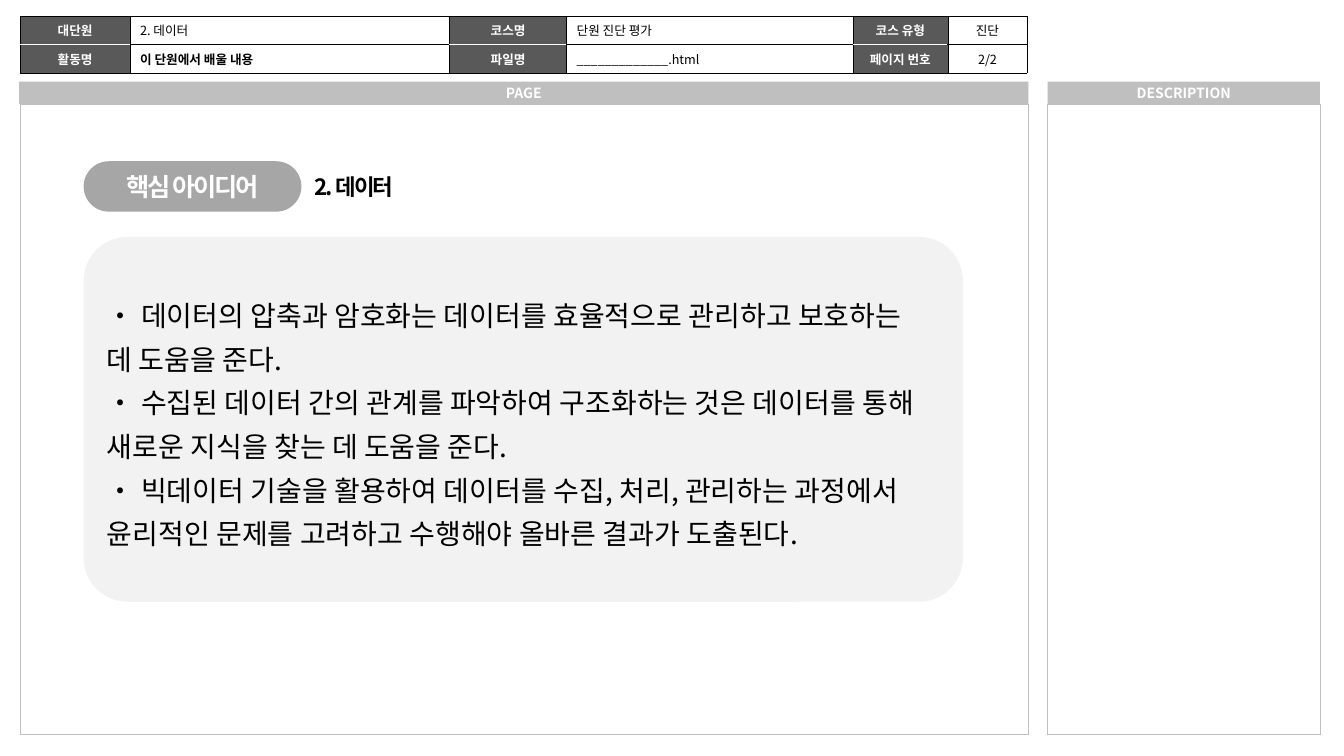
from dataclasses import dataclass

from lxml.etree import SubElement
from pptx import Presentation
from pptx.dml.color import RGBColor
from pptx.enum.shapes import MSO_SHAPE
from pptx.enum.text import MSO_ANCHOR, MSO_AUTO_SIZE, PP_ALIGN
from pptx.oxml.ns import qn
from pptx.util import Inches, Pt


@dataclass(frozen=True)
class Theme:
    font: str = "Noto Sans CJK KR"
    white: str = "FFFFFF"
    black: str = "000000"
    label: str = "595959"
    bar: str = "BFBFBF"
    badge: str = "A6A6A6"
    card: str = "F2F2F2"
    border: float = 0.25
    info_size: int = 9
    bar_size: int = 10
    title_size: int = 16
    badge_size: int = 18
    body_size: int = 20


THEME = Theme()
INFO_LABELS = [
    ["대단원", "", "코스명", "", "코스 유형", ""],
    ["활동명", "", "파일명", "", "페이지 번호", ""],
]
INFO_VALUES = [
    ["", "2. 데이터", "", "단원 진단 평가", "", "진단"],
    ["", "이 단원에서 배울 내용", "", "_____________.html", "", "2/2"],
]
INFO_BOX = (0.2, 0.16, 9.99, 0.5)
INFO_WIDTHS = [1.09, 3.17, 1.16, 2.84, 0.94, 0.79]
INFO_ROW_HEIGHT = 0.16
BOLD_VALUE = "이 단원에서 배울 내용"
PLAIN_TABLE_STYLE = "{2D5ABB26-0587-4C30-8999-92F81FD0307C}"
PANELS = [("PAGE", 0.2, 10, 0.19, 10.01), ("DESCRIPTION", 10.39, 2.7, 10.39, 2.7)]
IDEAS = [
    "• 데이터의 압축과 암호화는 데이터를 효율적으로 관리하고 보호하는 데 도움을 준다.",
    "• 수집된 데이터 간의 관계를 파악하여 구조화하는 것은 데이터를 통해 새로운 지식을 찾는 데 도움을 준다.",
    "• 빅데이터 기술을 활용하여 데이터를 수집, 처리, 관리하는 과정에서 윤리적인 문제를 고려하고 "
    "수행해야 올바른 결과가 도출된다.",
]


def set_attributes(target, formats):
    for name, value in formats.items():
        setattr(target, name, value)


def write(frame, lines, size, color, bold=False, align=PP_ALIGN.LEFT, line_spacing=1.0, tracking=0):
    """Fill a text frame with one paragraph per line; tracking is in points."""
    set_attributes(frame, {"word_wrap": True, "vertical_anchor": MSO_ANCHOR.MIDDLE})
    frame.text = "\n".join(lines)
    for paragraph in frame.paragraphs:
        set_attributes(paragraph, {"alignment": align, "line_spacing": line_spacing,
                                   "space_before": Pt(0)})
        run = paragraph.runs[0]
        set_attributes(run.font, {"name": THEME.font, "size": Pt(size), "bold": bold})
        run.font.color.rgb = RGBColor.from_string(color)
        properties = run.font._element
        SubElement(properties, qn("a:ea")).set("typeface", THEME.font)
        if tracking:
            properties.set("spc", str(int(tracking * 100)))


def add_block(slide, preset, box, fill, line=None, rounding=None):
    block = slide.shapes.add_shape(preset, *map(Inches, box))
    block.shadow.inherit = False
    block.fill.solid()
    block.fill.fore_color.rgb = RGBColor.from_string(fill)
    if line:
        block.line.color.rgb = RGBColor.from_string(line)
        block.line.width = Pt(THEME.border)
    else:
        block.line.fill.background()
    if rounding is not None:
        block.adjustments[0] = rounding
    return block


def add_panel(slide, left, width):
    add_block(slide, MSO_SHAPE.RECTANGLE, (left, 1.03, width, 6.25), THEME.white, THEME.bar)


def add_panel_bar(slide, heading, left, width):
    bar = add_block(slide, MSO_SHAPE.ROUNDED_RECTANGLE, (left, 0.81, width, 0.22),
                    THEME.bar, rounding=0)
    write(bar.text_frame, [heading], THEME.bar_size, THEME.white, True, PP_ALIGN.CENTER)


def set_borders(cell, colors):
    """Draw cell edges; colors maps L, R, T and B to a colour, in that order."""
    properties = cell._tc.get_or_add_tcPr()
    for index, (side, color) in enumerate(colors.items()):
        edge = SubElement(properties, qn(f"a:ln{side}"), w=str(Pt(THEME.border)))
        SubElement(SubElement(edge, qn("a:solidFill")), qn("a:srgbClr"), val=color)
        properties.insert(index, edge)


def add_info_table(slide, rows, format_cell):
    frame = slide.shapes.add_table(len(rows), len(INFO_WIDTHS), *map(Inches, INFO_BOX))
    table = frame.table
    set_attributes(table, {"first_row": False, "horz_banding": False})
    table._tbl.tblPr.find(qn("a:tableStyleId")).text = PLAIN_TABLE_STYLE
    for column, width in zip(table.columns, INFO_WIDTHS):
        column.width = Inches(width)
    for row_index, texts in enumerate(rows):
        table.rows[row_index].height = Inches(INFO_ROW_HEIGHT)
        for column_index, text in enumerate(texts):
            cell = table.cell(row_index, column_index)
            cell.vertical_anchor = MSO_ANCHOR.MIDDLE
            if not text:
                paragraph = cell.text_frame.paragraphs[0]._p
                SubElement(paragraph, qn("a:endParaRPr"), sz=str(THEME.info_size * 100))
            format_cell(cell, text, row_index, column_index)


def format_label(cell, text, row_index, column_index):
    edges = dict.fromkeys("LRTB", THEME.black)
    if text:
        write(cell.text_frame, [text], THEME.info_size, THEME.white, True, PP_ALIGN.CENTER)
        cell.fill.solid()
        cell.fill.fore_color.rgb = RGBColor.from_string(THEME.label)
        edges["B" if row_index == 0 else "T"] = THEME.white
    else:
        cell.fill.background()
    set_borders(cell, edges)


def format_value(cell, text, row_index, column_index):
    cell.fill.background()
    if text:
        is_last = column_index == len(INFO_WIDTHS) - 1
        write(cell.text_frame, [text], THEME.info_size, THEME.black, text == BOLD_VALUE,
              PP_ALIGN.CENTER if is_last else PP_ALIGN.LEFT)


def place(slide, placeholder, box):
    """Position a placeholder and bring it in front of the blocks."""
    slide.shapes._spTree.append(placeholder._element)
    set_attributes(placeholder, dict(zip(("left", "top", "width", "height"), map(Inches, box))))
    placeholder.text_frame.auto_size = MSO_AUTO_SIZE.NONE


def add_key_ideas(slide):
    badge = add_block(slide, MSO_SHAPE.ROUNDED_RECTANGLE, (0.83, 1.6, 2.16, 0.5),
                      THEME.badge, rounding=0.5)
    write(badge.text_frame, ["핵심 아이디어"], THEME.badge_size, THEME.white, True,
          PP_ALIGN.CENTER, tracking=-1.5)
    add_block(slide, MSO_SHAPE.ROUNDED_RECTANGLE, (0.83, 2.35, 8.72, 3.62),
              THEME.card, rounding=0.12)

    ideas = slide.placeholders[1]
    place(slide, ideas, (0.96, 2.48, 8.36, 3.36))
    write(ideas.text_frame, IDEAS, THEME.body_size, THEME.black, line_spacing=1.3)
    for paragraph in ideas.text_frame.paragraphs:
        properties = paragraph._p.get_or_add_pPr()
        properties.set("marL", "0")
        properties.set("indent", "0")
        SubElement(properties, qn("a:buNone"))

    title = slide.shapes.title
    place(slide, title, (3.02, 1.67, 2.52, 0.37))
    write(title.text_frame, ["2. 데이터"], THEME.title_size, THEME.black, True, tracking=-1.5)


def main():
    deck = Presentation()
    set_attributes(deck, {"slide_width": Inches(13.33), "slide_height": Inches(7.5)})
    slide = deck.slides.add_slide(deck.slide_layouts[1])
    for _, left, width, _, _ in PANELS:
        add_panel(slide, left, width)
    add_info_table(slide, INFO_LABELS, format_label)
    for heading, _, _, left, width in PANELS:
        add_panel_bar(slide, heading, left, width)
    add_info_table(slide, INFO_VALUES, format_value)
    add_key_ideas(slide)
    deck.save("out.pptx")


if __name__ == "__main__":
    main()
